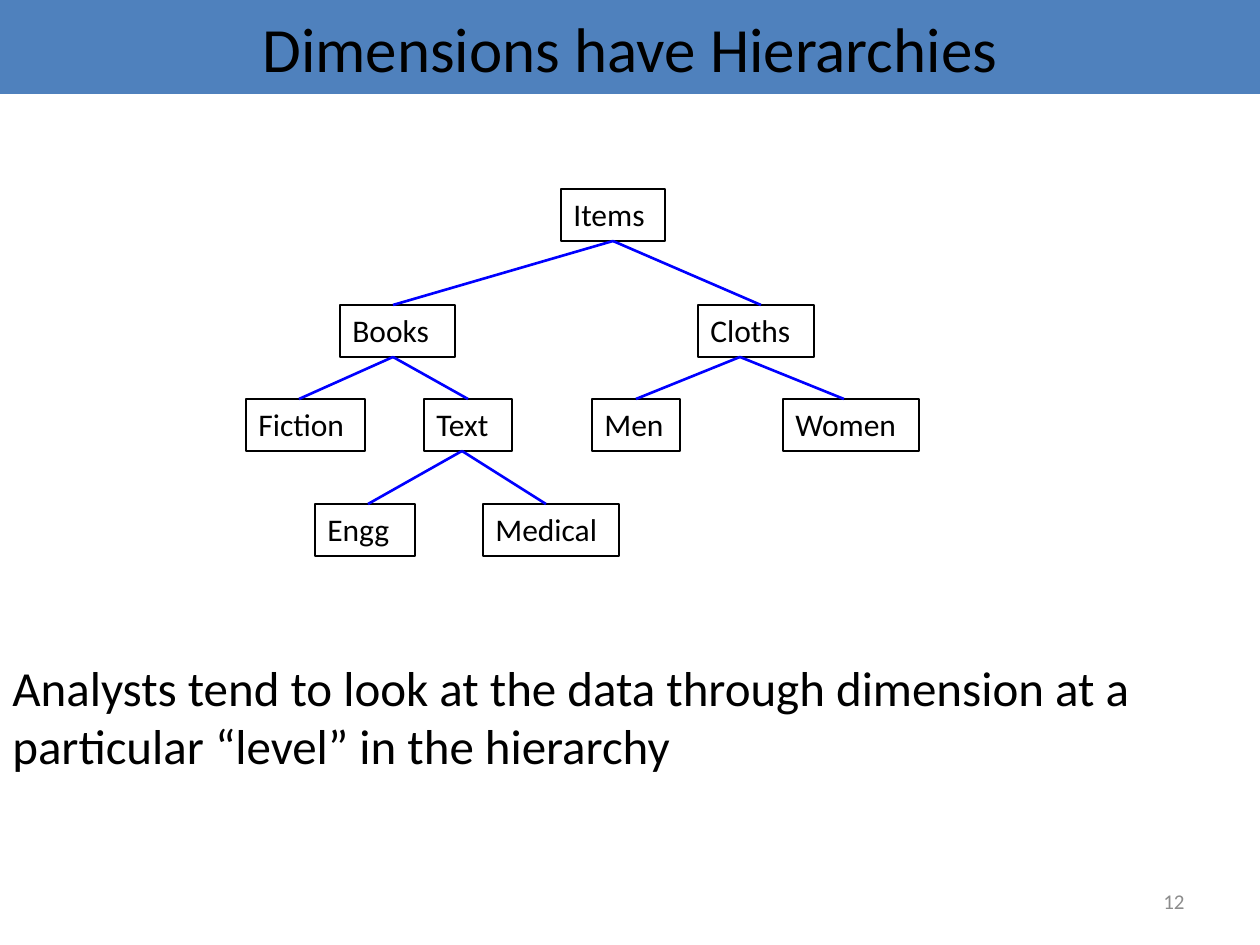
"""Build a slide showing the hierarchy of an item dimension."""
from lxml.etree import SubElement
from pptx import Presentation
from pptx.dml.color import RGBColor
from pptx.enum.shapes import MSO_CONNECTOR, MSO_SHAPE
from pptx.enum.text import MSO_ANCHOR, PP_ALIGN
from pptx.oxml.ns import qn
from pptx.util import Emu, Pt


def px(length):
    return Emu(round(length * 914400 / 126))


def color(value):
    return RGBColor.from_string(value)


BOX_HEIGHT = 52
JOIN_TOLERANCE = 2
LEVEL_TOPS = [189, 305, 399, 504]

nodes = {
    "Items": (0, 561, 104),
    "Books": (1, 340, 115),
    "Cloths": (1, 698, 116),
    "Fiction": (2, 246, 119),
    "Text": (2, 424, 88),
    "Men": (2, 592, 88),
    "Women": (2, 783, 136),
    "Engg": (3, 315, 100),
    "Medical": (3, 483, 136),
}
links = [
    ("Items", "Books", 613, 393),
    ("Items", "Cloths", 613, 761),
    ("Books", "Fiction", 393, 299),
    ("Books", "Text", 393, 466),
    ("Cloths", "Men", 740, 635),
    ("Cloths", "Women", 740, 844),
    ("Text", "Engg", 462, 368),
    ("Text", "Medical", 462, 546),
]

deck = Presentation()
deck.slide_width, deck.slide_height = px(1260), px(945)
page = deck.slides.add_slide(deck.slide_layouts[6])

title = page.shapes.add_shape(MSO_SHAPE.RECTANGLE, 0, 0, px(1260), px(94))
title.fill.solid()
title.fill.fore_color.rgb = color("4F81BD")
title.line.fill.background()
title.shadow.inherit = False

caption = page.shapes.add_textbox(0, px(651), px(1260), px(130))
number = page.shapes.add_textbox(px(903), px(876), px(294), px(50))

texts = [
    (title, "Dimensions have Hierarchies", 36, "000000", PP_ALIGN.CENTER, MSO_ANCHOR.MIDDLE),
    (caption, "Analysts tend to look at the data through dimension at a particular “level” in the hierarchy",
     28, "000000", PP_ALIGN.LEFT, MSO_ANCHOR.TOP),
    (number, "12", 12, "8C8C8C", PP_ALIGN.RIGHT, MSO_ANCHOR.MIDDLE),
]

boxes = {}
for name, (level, left, width) in nodes.items():
    box = page.shapes.add_shape(
        MSO_SHAPE.RECTANGLE, px(left), px(LEVEL_TOPS[level]), px(width), px(BOX_HEIGHT))
    box.fill.background()
    box.line.color.rgb = color("000000")
    box.line.width = Pt(0.75)
    box.shadow.inherit = False
    boxes[name] = box
    texts.append((box, name, 18, "000000", PP_ALIGN.LEFT, MSO_ANCHOR.TOP))

for shape, text, size, ink, alignment, anchor in texts:
    frame = shape.text_frame
    frame.text = text
    frame.word_wrap = True
    frame.vertical_anchor = anchor
    para = frame.paragraphs[0]
    para.alignment = alignment
    span = para.runs[0]
    span.font.name = "Calibri"
    span.font.size = Pt(size)
    span.font.color.rgb = color(ink)

for parent, child, start_x, end_x in links:
    parent_level, parent_left, parent_width = nodes[parent]
    child_level, child_left, child_width = nodes[child]
    link = page.shapes.add_connector(
        MSO_CONNECTOR.STRAIGHT,
        px(start_x), px(LEVEL_TOPS[parent_level] + BOX_HEIGHT),
        px(end_x), px(LEVEL_TOPS[child_level]))
    if abs(parent_left + parent_width / 2 - start_x) <= JOIN_TOLERANCE:
        link.begin_connect(boxes[parent], 2)
    if abs(child_left + child_width / 2 - end_x) <= JOIN_TOLERANCE:
        link.end_connect(boxes[child], 0)
    link.line.color.rgb = color("0000FF")
    link.line.width = Pt(1.5)
    SubElement(link._element.spPr, qn("a:effectLst"))

deck.save("out.pptx")
